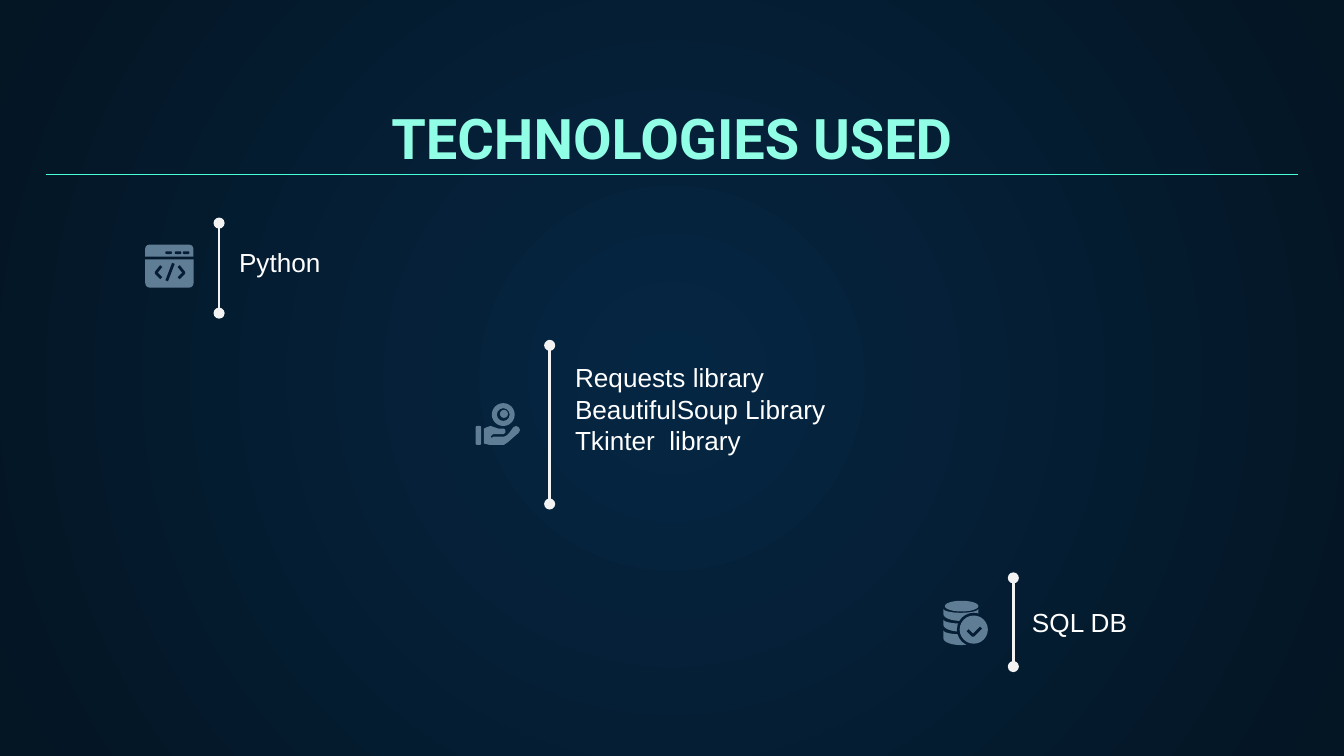
import math
from lxml import etree
from pptx import Presentation
from pptx.dml.color import RGBColor
from pptx.enum import shapes as kinds, text as tx
from pptx.oxml import parse_xml
from pptx.oxml.ns import qn
from pptx.util import Inches, Pt

NS = 'xmlns:a="http://schemas.openxmlformats.org/drawingml/2006/main"'
MINT, WHITE, PALE, STEEL, NAVY = "91FFE6", "FFFFFF", "F3F3F3", "5F7D95", "051D34"
KIND = kinds.MSO_SHAPE


def rgb(code):
    return RGBColor.from_string(code)


def write(box, words, size=14, font="Arial", color=WHITE, bold=False,
          align=tx.PP_ALIGN.LEFT, anchor=tx.MSO_ANCHOR.MIDDLE):
    frame = box.text_frame
    frame.word_wrap = True
    frame.auto_size = tx.MSO_AUTO_SIZE.NONE
    frame.vertical_anchor = anchor
    frame.margin_left = frame.margin_right = Inches(0.1)
    frame.margin_top = frame.margin_bottom = Inches(0.1)
    frame.text = words
    for par in frame.paragraphs:
        par.alignment = align
        style = par.runs[0].font
        style.size, style.name, style.bold = Pt(size), font, bold
        style.color.rgb = rgb(color)


prs = Presentation()
prs.slide_width = Inches(10)
prs.slide_height = prs.slide_width * 9 // 16
slide = prs.slides.add_slide(prs.slide_layouts[5])

# Radial background
back = slide.background.fill
back.gradient()
for stop, code, place in zip(back.gradient_stops, ("052643", "041523"), (0, 1)):
    stop.color.rgb = rgb(code)
    stop.position = place
grad = slide._element.find(".//" + qn("a:gradFill"))
grad.replace(grad.find(qn("a:lin")), parse_xml(
    f'<a:path {NS} path="circle"><a:fillToRect l="50000" t="50000" '
    'r="50000" b="50000"/></a:path>'))

# Title
title = slide.shapes.title
title.left, title.top = Inches(0.34), Inches(0.71)
title.width, title.height = Inches(9.32), Inches(0.66)
write(title, "TECHNOLOGIES USED", size=30, font="Roboto", color=MINT, bold=True,
      align=tx.PP_ALIGN.CENTER, anchor=tx.MSO_ANCHOR.BOTTOM)

# Rule under the title, then one dotted bar per item
lines = [
    (0.34, 1.3, 9.66, 1.3, "48FFD5", 0.75, False),
    (1.63, 1.66, 1.63, 2.33, PALE, 1.5, True),
    (4.09, 2.57, 4.09, 3.75, PALE, 1.5, True),
    (7.54, 4.3, 7.54, 4.96, PALE, 1.5, True),
]
for x1, y1, x2, y2, code, width, dots in lines:
    bar = slide.shapes.add_connector(
        kinds.MSO_CONNECTOR.STRAIGHT, Inches(x1), Inches(y1), Inches(x2), Inches(y2))
    bar.line.color.rgb = rgb(code)
    bar.line.width = Pt(width)
    if dots:
        for end in ("a:headEnd", "a:tailEnd"):
            etree.SubElement(bar._element.spPr.find(qn("a:ln")), qn(end), type="oval")
    etree.SubElement(bar._element.spPr, qn("a:effectLst"))

# Item labels
labels = [
    (1.68, 1.58, "Python"),
    (4.18, 2.67, "Requests library\nBeautifulSoup Library\nTkinter  library"),
    (7.58, 4.26, "SQL DB"),
]
for x, y, words in labels:
    box = slide.shapes.add_textbox(Inches(x), Inches(y), Inches(2.29), Inches(0.74))
    write(box, words)

# Icons: preset parts as kind, left, top, width, height, colour, adjustment, turn;
# outlines as points, colour and stroke width (0 for a filled shape)
dashes = [(KIND.ROUNDED_RECTANGLE, x, 1.87, 0.05, 0.02, NAVY, 0.5, 0)
          for x in (1.23, 1.3, 1.36)]
window = [
    (KIND.ROUND_2_SAME_RECTANGLE, 1.08, 1.82, 0.36, 0.09, STEEL, 0.36, 0),
    (KIND.ROUND_2_SAME_RECTANGLE, 1.08, 1.93, 0.36, 0.21, STEEL, 0.16, 180),
] + dashes
marks = [
    ([(1.2, 1.98), (1.16, 2.03), (1.2, 2.07)], NAVY, 1.5),
    ([(1.33, 1.98), (1.37, 2.03), (1.33, 2.07)], NAVY, 1.5),
    ([(1.29, 1.96), (1.24, 2.09)], NAVY, 1.5),
]

coin = [
    (KIND.OVAL, 3.72, 3.05, 0.06, 0.06, STEEL, None, 0),
    (KIND.DONUT, 3.66, 3, 0.17, 0.17, STEEL, 0.22, 0),
    (KIND.ROUNDED_RECTANGLE, 3.54, 3.17, 0.04, 0.14, STEEL, 0.2, 0),
]
palm = [(
    [(3.6, 3.19), (3.62, 3.18), (3.65, 3.17), (3.68, 3.18), (3.71, 3.19),
     (3.75, 3.19), (3.76, 3.2), (3.76, 3.22), (3.75, 3.23), (3.67, 3.23),
     (3.65, 3.25), (3.66, 3.26), (3.67, 3.25), (3.75, 3.25), (3.77, 3.24),
     (3.79, 3.22), (3.82, 3.18), (3.84, 3.17), (3.86, 3.18), (3.87, 3.2),
     (3.86, 3.22), (3.78, 3.29), (3.75, 3.31), (3.64, 3.31), (3.6, 3.3)],
    STEEL, 0)]

disk = [(KIND.OVAL, 7.03, 4.47, 0.25, 0.08, STEEL, None, 0)]
bands = []
turns = [math.pi * n / 16 for n in range(17)]
for top, low in ((4.53, 4.57), (4.61, 4.65), (4.69, 4.75)):
    upper = [(7.15 - 0.13 * math.cos(t), top + 0.03 * math.sin(t)) for t in turns]
    lower = [(7.15 + 0.13 * math.cos(t), low + 0.05 * math.sin(t)) for t in turns]
    bands.append((upper + lower, STEEL, 0))
badge = [
    (KIND.OVAL, 7.12, 4.56, 0.25, 0.25, NAVY, None, 0),
    (KIND.OVAL, 7.14, 4.58, 0.21, 0.21, STEEL, None, 0),
]
tick = [([(7.2, 4.69), (7.24, 4.73), (7.3, 4.67)], NAVY, 1.5)]

for parts in (window + marks, coin + palm, disk + bands + badge + tick):
    icon = slide.shapes.add_group_shape()
    for part in parts:
        if len(part) == 3:
            spots, code, stroke = part
            spots = [(Inches(x), Inches(y)) for x, y in spots]
            pen = icon.shapes.build_freeform(*spots[0])
            pen.add_line_segments(spots[1:], close=not stroke)
            piece = pen.convert_to_shape()
        else:
            kind, x, y, w, h, code, adjust, turn = part
            stroke = 0
            piece = icon.shapes.add_shape(kind, Inches(x), Inches(y), Inches(w), Inches(h))
            piece.rotation = turn
            if adjust is not None:
                piece.adjustments[0] = adjust
        piece.shadow.inherit = False
        if stroke:
            piece.fill.background()
            piece.line.color.rgb = rgb(code)
            piece.line.width = Pt(stroke)
        else:
            piece.fill.solid()
            piece.fill.fore_color.rgb = rgb(code)
            piece.line.fill.background()

prs.save("out.pptx")
